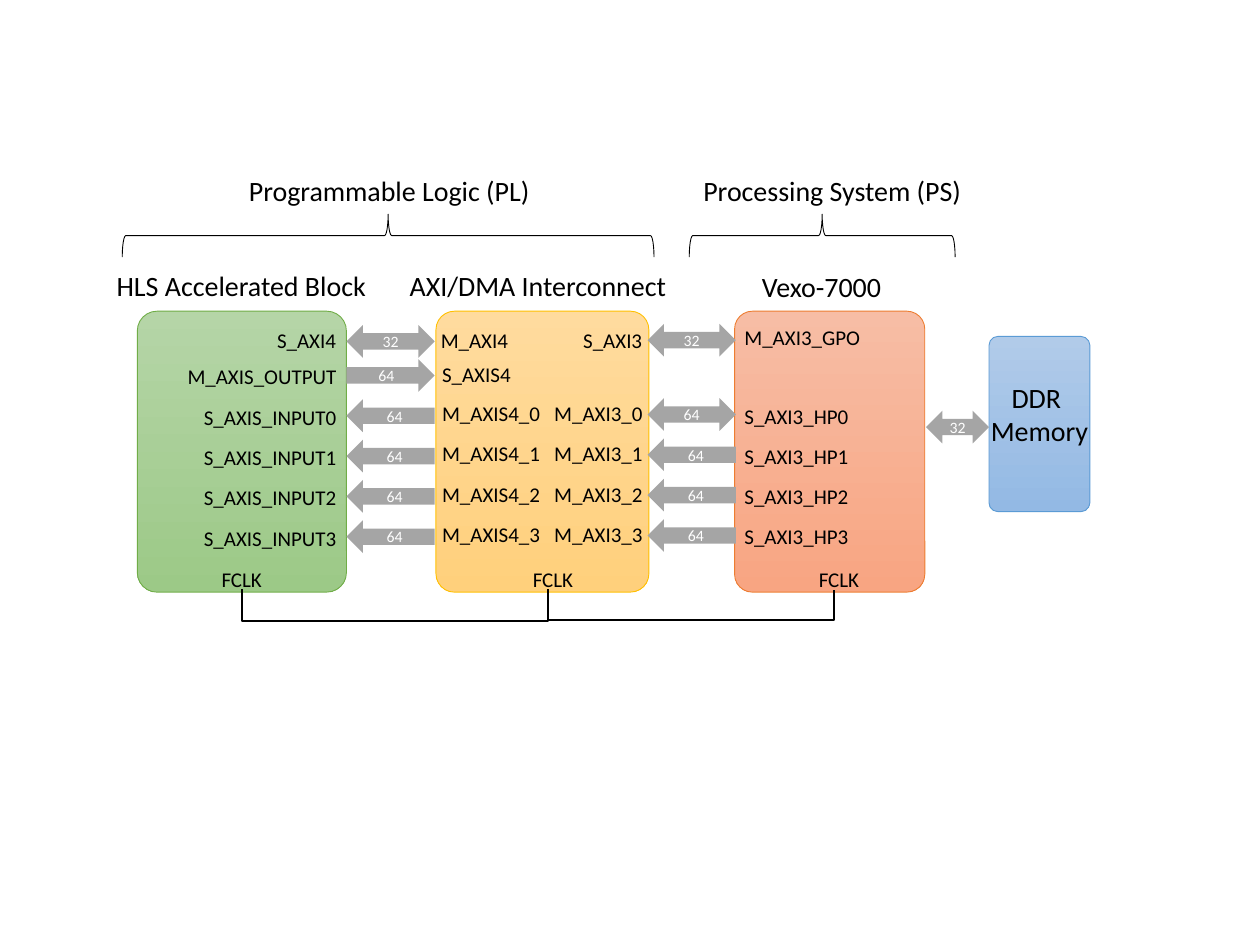
from dataclasses import dataclass
from typing import Any
from lxml.etree import SubElement
from pptx import Presentation
from pptx.dml.color import RGBColor
from pptx.enum.shapes import MSO_CONNECTOR, MSO_SHAPE
from pptx.enum.text import MSO_ANCHOR, MSO_AUTO_SIZE, PP_ALIGN
from pptx.oxml.ns import qn
from pptx.util import Inches, Pt

COLORS = {
    "black": "000000", "white": "FFFFFF", "arrow": "A5A5A5",
    "green": ("B5D5A7", "9CC987", "70AD47"),
    "yellow": ("FFDB9E", "FFD07C", "FFC000"),
    "orange": ("F7BDA5", "F8A582", "ED7D31"),
    "blue": ("B1CBE9", "93B9E4", "5B9BD5"),
}
PITCH = 0.32


def rgb(code):
    return RGBColor.from_string(code)


def write(frame, text, size=12, color="black", font="Calibri", align=PP_ALIGN.LEFT):
    para = frame.paragraphs[0]
    para.text = text
    para.alignment = align
    for run in para.runs:
        run.font.name = font
        run.font.size = Pt(size)
        run.font.color.rgb = rgb(COLORS[color])


@dataclass
class Sketch:
    slide: Any
    thin: float = 0.5
    bold: float = 1

    def shape(self, kind, x, y, w, h):
        item = self.slide.shapes.add_shape(
            kind, Inches(x), Inches(y), Inches(w), Inches(h))
        item.shadow.inherit = False
        return item

    def block(self, x, y, w, h, hue, curve):
        item = self.shape(MSO_SHAPE.ROUNDED_RECTANGLE, x, y, w, h)
        item.adjustments[0] = curve
        top, base, edge = COLORS[hue]
        item.fill.gradient()
        item.fill.gradient_angle = 270
        for stop, code in zip(item.fill.gradient_stops, (top, base)):
            stop.color.rgb = rgb(code)
        item.line.color.rgb = rgb(edge)
        item.line.width = Pt(self.thin)

    def arrow(self, kind, x, y, bits, w=0.7):
        item = self.shape(kind, x, y, w, 0.26)
        item.fill.solid()
        item.fill.fore_color.rgb = rgb(COLORS["arrow"])
        item.line.fill.background()
        item.text_frame.vertical_anchor = MSO_ANCHOR.MIDDLE
        write(item.text_frame, bits, size=9, color="white", align=PP_ALIGN.CENTER)

    def brace(self, x, y, w, h):
        item = self.shape(MSO_SHAPE.LEFT_BRACE, x + (w - h) / 2, y + (h - w) / 2, h, w)
        item.rotation = 90
        item.fill.background()
        item.line.color.rgb = rgb(COLORS["black"])
        item.line.width = Pt(self.thin)

    def label(self, text, x, y, w, h=0.3, **style):
        box = self.slide.shapes.add_textbox(Inches(x), Inches(y), Inches(w), Inches(h))
        box.text_frame.word_wrap = False
        box.text_frame.auto_size = MSO_AUTO_SIZE.SHAPE_TO_FIT_TEXT
        write(box.text_frame, text, **style)

    def clock(self, start, end, y, drop):
        step, span = 0.01, end - start
        x, top = (start + end - step) / 2, y - span / 2
        wire = self.slide.shapes.add_connector(
            MSO_CONNECTOR.ELBOW, Inches(x), Inches(top),
            Inches(x + step), Inches(top + span))
        wire.line.color.rgb = rgb(COLORS["black"])
        wire.line.width = Pt(self.bold)
        props = wire._element.spPr
        props.xfrm.set("rot", str(270 * 60000))
        props.xfrm.set("flipH", "1")
        guides = props.find(qn("a:prstGeom")).get_or_add_avLst()
        SubElement(guides, qn("a:gd"), name="adj1", fmla=f"val {round(drop / step * 100000)}")
        SubElement(props, qn("a:effectLst"))


def main():
    deck = Presentation()
    deck.slide_width, deck.slide_height = Inches(10), Inches(7.5)
    art = Sketch(deck.slides.add_slide(deck.slide_layouts[6]))
    left, right, both = MSO_SHAPE.LEFT_ARROW, MSO_SHAPE.RIGHT_ARROW, MSO_SHAPE.LEFT_RIGHT_ARROW

    for x, y, w, h, hue, curve in (
        (1.09, 2.47, 1.66, 2.23, "green", 0.094),
        (3.46, 2.47, 1.69, 2.23, "yellow", 0.087),
        (5.83, 2.47, 1.51, 2.23, "orange", 0.094),
        (7.85, 2.67, 0.8, 1.39, "blue", 0.087),
    ):
        art.block(x, y, w, h, hue, curve)

    art.arrow(both, 2.75, 2.58, "32")
    art.arrow(right, 2.75, 2.85, "64")
    art.arrow(both, 5.14, 2.57, "32")
    art.arrow(both, 7.35, 3.26, "32", w=0.5)
    for row in range(4):
        art.arrow(left, 2.75, 3.17 + row * PITCH, "64")
        art.arrow(left if row else both, 5.14, 3.16 + row * PITCH, "64")

    art.clock(1.92, 4.35, 4.68, 0.26)
    art.clock(4.35, 6.62, 4.68, 0.25)
    for x in (1.66, 4.13, 6.4):
        art.label("FCLK", x, 4.45, 0.52)

    for stem, x, y, w in (
        ("S_AXIS_INPUT", 1.52, 3.16, 1.27),
        ("M_AXIS4_", 3.41, 3.13, 0.99),
        ("M_AXI3_", 4.3, 3.13, 0.91),
        ("S_AXI3_HP", 5.81, 3.15, 1.04),
    ):
        for row in range(4):
            art.label(f"{stem}{row}", x, y + row * PITCH, w)

    for text, x, y, w in (
        ("S_AXI4", 2.1, 2.55, 0.68),
        ("M_AXIS_OUTPUT", 1.39, 2.84, 1.4),
        ("M_AXI4", 3.4, 2.55, 0.74),
        ("S_AXIS4", 3.41, 2.82, 0.75),
        ("S_AXI3", 4.53, 2.55, 0.68),
        ("M_AXI3_GPO", 5.81, 2.53, 1.13),
    ):
        art.label(text, x, y, w)

    for text, x, y, w, h in (
        ("HLS Accelerated Block", 0.81, 2.08, 2.21, 0.37),
        ("AXI/DMA Interconnect", 3.14, 2.08, 2.26, 0.37),
        ("Vexo-7000", 5.94, 2.09, 1.16, 0.37),
        ("Programmable Logic (PL)", 1.86, 1.33, 2.46, 0.37),
        ("Processing System (PS)", 5.47, 1.33, 2.27, 0.37),
        ("DDR \vMemory", 7.76, 2.97, 0.98, 0.64),
    ):
        art.label(text, x, y, w, h, size=16, align=PP_ALIGN.CENTER)

    art.brace(0.97, 1.7, 4.22, 0.34)
    art.brace(5.47, 1.7, 2.11, 0.34)
    deck.save("out.pptx")


if __name__ == "__main__":
    main()
